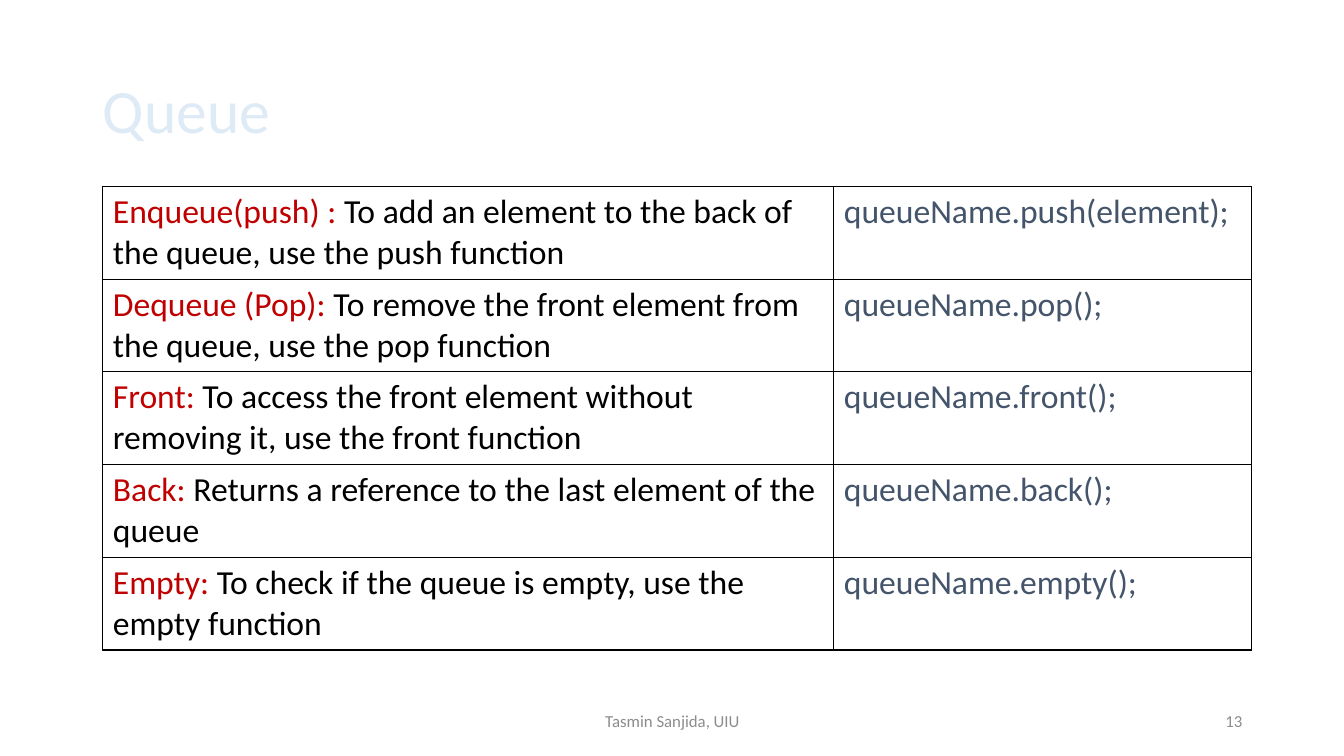
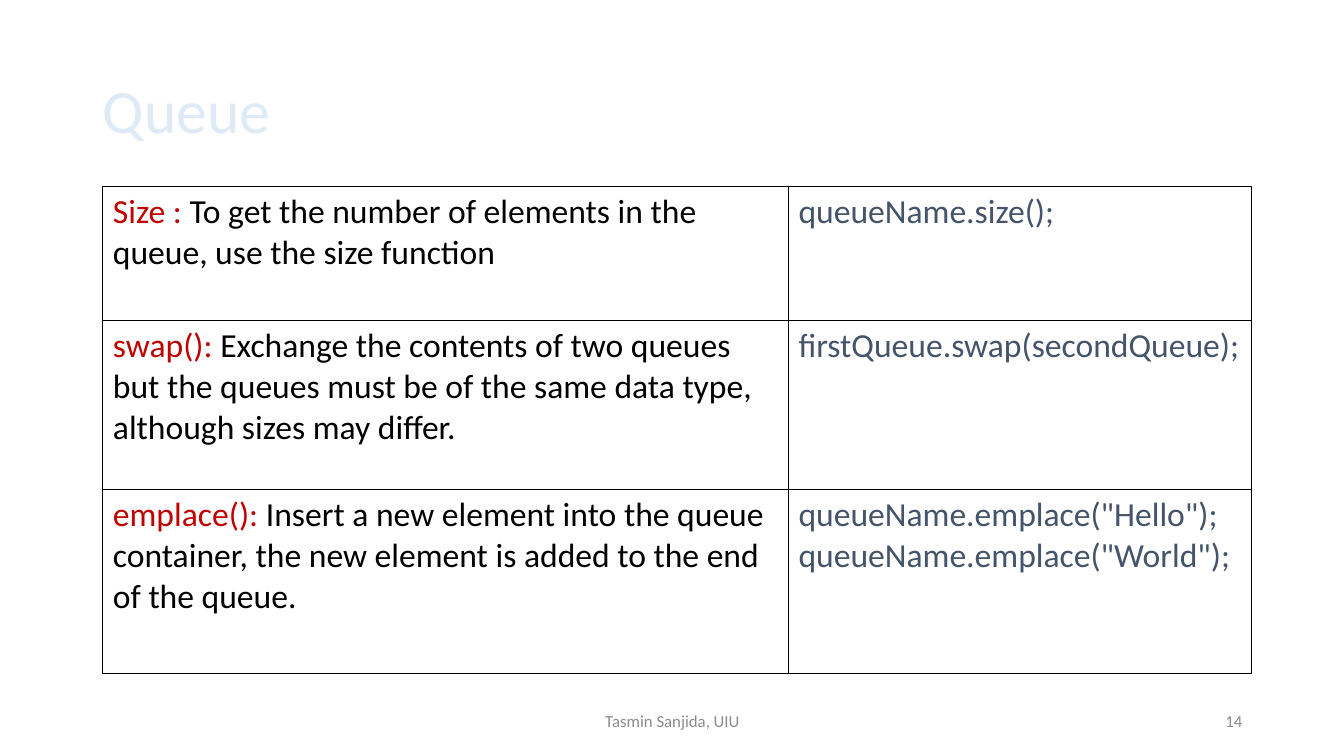
from lxml.etree import SubElement
from pptx import Presentation
from pptx.dml.color import RGBColor
from pptx.enum.text import MSO_ANCHOR, PP_ALIGN
from pptx.oxml.ns import qn
from pptx.util import Inches, Pt

WHITE = RGBColor(0xFF, 0xFF, 0xFF)
BLACK = RGBColor(0, 0, 0)
RED = RGBColor(0xC0, 0, 0)
SLATE = RGBColor(0x44, 0x54, 0x6A)
PALE = RGBColor(0xDE, 0xEB, 0xF7)
GREY = RGBColor(0x8C, 0x8C, 0x8C)

FACE = "Calibri"
TITLE = "Queue"
AUTHOR = "Tasmin Sanjida, UIU"
FIRST = 13
LEFT, TOP, WIDTH = 1.02, 1.85, 11.39

# Each row: term, meaning, lines of code
PAGES = [
    {
        "split": 7.25,
        "heights": [0.92] * 5,
        "rows": [
            ("Enqueue(push) :", "To add an element to the back of the queue, use the push function",
             ["queueName.push(element);"]),
            ("Dequeue (Pop):", "To remove the front element from the queue, use the pop function",
             ["queueName.pop();"]),
            ("Front:", "To access the front element without removing it, use the front function",
             ["queueName.front();"]),
            ("Back:", "Returns a reference to the last element of the queue",
             ["queueName.back();"]),
            ("Empty:", "To check if the queue is empty, use the empty function",
             ["queueName.empty();"]),
        ],
    },
    {
        "split": 6.8,
        "heights": [1.33, 1.68, 1.82],
        "rows": [
            ("Size :", "To get the number of elements in the queue, use the size function",
             ["queueName.size();"]),
            ("swap():", "Exchange the contents of two queues but the queues must be of the same "
             "data type, although sizes may differ.",
             ["firstQueue.swap(secondQueue);"]),
            ("emplace():", "Insert a new element into the queue container, the new element is "
             "added to the end of the queue.",
             ['queueName.emplace("Hello");', 'queueName.emplace("World");']),
        ],
    },
]

# Box, size, colour and alignment of the text around each table
STYLES = {
    "title": ((0.92, 0.4, 11.5, 1.45), 44, PALE, PP_ALIGN.LEFT),
    "footer": ((4.42, 6.95, 4.5, 0.4), 12, GREY, PP_ALIGN.CENTER),
    "number": ((9.42, 6.95, 3, 0.4), 12, GREY, PP_ALIGN.RIGHT),
}


def add_run(para, text, size, color):
    run = para.add_run()
    run.text = text
    for name, value in {"name": FACE, "size": Pt(size)}.items():
        setattr(run.font, name, value)
    run.font.color.rgb = color


def add_text(slide, style, text):
    box, size, color, align = STYLES[style]
    frame = slide.shapes.add_textbox(*map(Inches, box)).text_frame
    frame.word_wrap = True
    frame.vertical_anchor = MSO_ANCHOR.MIDDLE
    para = frame.paragraphs[0]
    para.alignment = align
    if style == "title":
        para.line_spacing = 0.9
    add_run(para, text, size, color)


def fill_cell(cell, lines):
    """Write lines, each a list of (text, colour), and rule the cell in black."""
    frame = cell.text_frame
    for i, line in enumerate(lines):
        para = frame.add_paragraph() if i else frame.paragraphs[0]
        for text, color in line:
            add_run(para, text, 24, color)
    props = cell._tc.get_or_add_tcPr()
    for side in ("lnL", "lnR", "lnT", "lnB"):
        edge = SubElement(props, qn(f"a:{side}"), w=str(Pt(1)))
        paint = SubElement(edge, qn("a:solidFill"))
        SubElement(paint, qn("a:srgbClr"), val=str(BLACK))
    cell.fill.solid()
    cell.fill.fore_color.rgb = WHITE


def add_grid(slide, page):
    rows, heights = page["rows"], page["heights"]
    box = map(Inches, (LEFT, TOP, WIDTH, sum(heights)))
    table = slide.shapes.add_table(len(rows), 2, *box).table
    table.first_row = table.horz_banding = False
    for col, width in zip(table.columns, (page["split"], WIDTH - page["split"])):
        col.width = Inches(width)
    for r, (term, meaning, code) in enumerate(rows):
        table.rows[r].height = Inches(heights[r])
        fill_cell(table.cell(r, 0), [[(term, RED), (" " + meaning, BLACK)]])
        fill_cell(table.cell(r, 1), [[(line, SLATE)] for line in code])


def main():
    deck = Presentation()
    deck.slide_width, deck.slide_height = Inches(13.33), Inches(7.5)
    for number, page in enumerate(PAGES, FIRST):
        slide = deck.slides.add_slide(deck.slide_layouts[6])
        add_text(slide, "title", TITLE)
        add_grid(slide, page)
        add_text(slide, "footer", AUTHOR)
        add_text(slide, "number", str(number))
    deck.save("out.pptx")


if __name__ == "__main__":
    main()
